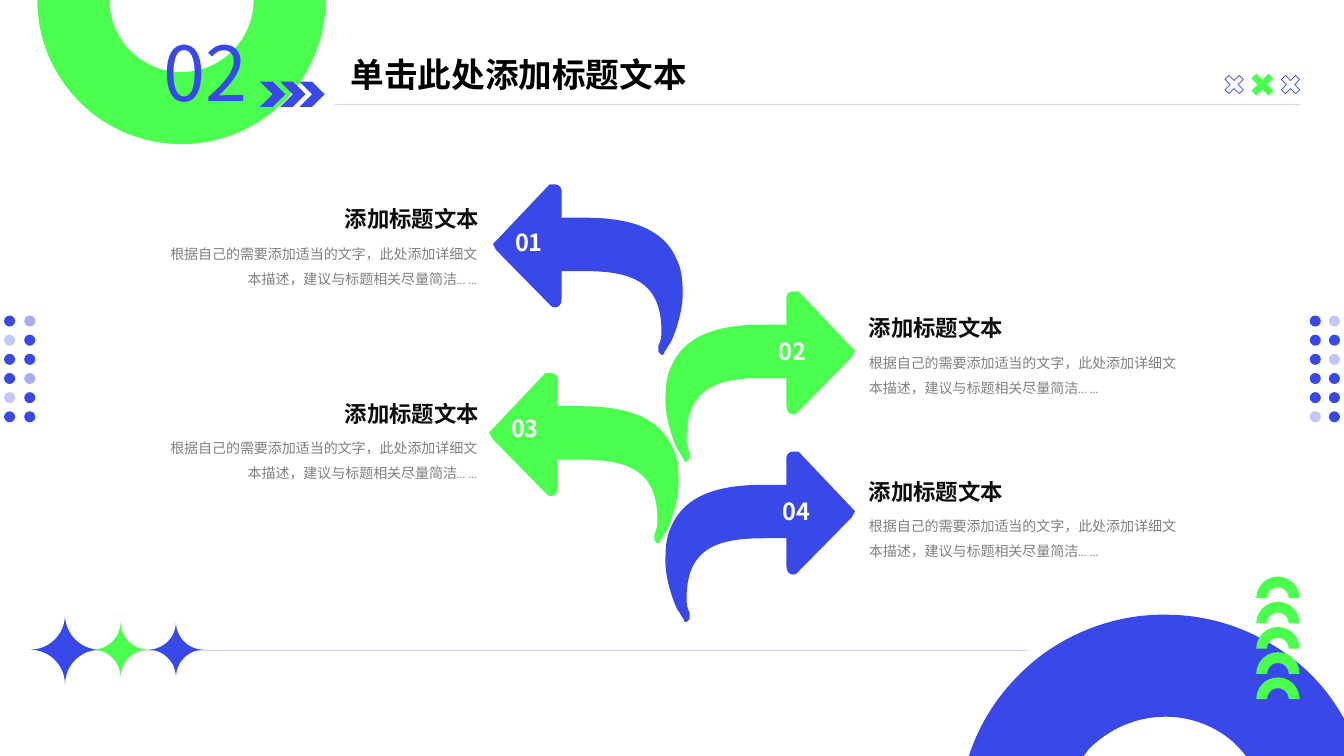
from dataclasses import dataclass

from lxml import etree
from pptx import Presentation
from pptx.dml.color import RGBColor
from pptx.enum.shapes import MSO_CONNECTOR, MSO_SHAPE
from pptx.enum.text import MSO_AUTO_SIZE, PP_ALIGN
from pptx.oxml.ns import qn
from pptx.util import Inches, Pt

LEFT, RIGHT = PP_ALIGN.LEFT, PP_ALIGN.RIGHT
ARC, CHEVRON = MSO_SHAPE.BLOCK_ARC, MSO_SHAPE.CHEVRON
DOT, CROSS, STAR = MSO_SHAPE.OVAL, MSO_SHAPE.CROSS, MSO_SHAPE.PLAQUE
STRAIGHT = MSO_CONNECTOR.STRAIGHT
GROW = MSO_AUTO_SIZE.SHAPE_TO_FIT_TEXT

BLUE, GREEN, WHITE, BLACK = "3948E9", "4AFF4E", "FFFFFF", "000000"
INK, GRAY = "0D0D0D", "808080"
NOTO, CABIN = "Noto Sans CJK SC", "Cabin"
HEAD = "添加标题文本"
BODY = "根据自己的需要添加适当的文字，此处添加详细文本描述，建议与标题相关尽量简洁... ..."

Path = list[tuple[float, ...]]

# Outlines: two numbers are a line end, six are a cubic curve
ARROW: Path = [
    (0.03, 0.65), (0.56, 1.19),
    (0.59, 1.22, 0.59, 1.22, 0.62, 1.22),
    (0.65, 1.22, 0.68, 1.19, 0.68, 1.13),
    (0.68, 0.86), (0.91, 0.86),
    (1.35, 0.86, 1.67, 0.95, 1.67, 1.45),
    (1.67, 1.51, 1.67, 1.54, 1.64, 1.6),
    (1.64, 1.6, 1.64, 1.63, 1.64, 1.66),
    (1.64, 1.66, 1.67, 1.69, 1.67, 1.69),
    (1.7, 1.69, 1.7, 1.69, 1.7, 1.66),
    (1.73, 1.63, 1.73, 1.6, 1.76, 1.57),
    (1.82, 1.45, 1.88, 1.24, 1.88, 1.1),
    (1.88, 0.98, 1.88, 0.86, 1.82, 0.74),
    (1.67, 0.39, 1.26, 0.33, 0.91, 0.33),
    (0.68, 0.33), (0.68, 0.06),
    (0.68, 0.03, 0.65, 0, 0.62, 0),
    (0.59, 0, 0.59, 0, 0.56, 0),
    (0.03, 0.56), (0, 0.59),
    (0, 0.62, 0.03, 0.62, 0.03, 0.65),
]
ARROW_W = 1.88
RING: Path = [
    (11.62, 6.1),
    (12.07, 6.11, 12.52, 6.28, 12.89, 6.59),
    (13.07, 6.74, 13.22, 6.93, 13.33, 7.13),
    (13.33, 7.5), (12.36, 7.5), (12.35, 7.49),
    (12.31, 7.44, 12.27, 7.4, 12.23, 7.36),
    (11.86, 7.04, 11.32, 7.03, 10.93, 7.32),
    (10.89, 7.35, 10.84, 7.39, 10.8, 7.43),
    (10.75, 7.5), (9.61, 7.5), (9.62, 7.47),
    (9.75, 7.09, 9.99, 6.76, 10.33, 6.5),
    (10.71, 6.22, 11.17, 6.08, 11.62, 6.1),
]


@dataclass
class Step:
    num: str
    x: float
    y: float
    hue: str
    num_x: float
    num_y: float
    text_y: float
    flip: bool


@dataclass
class Mark:
    kind: MSO_SHAPE
    x: float
    y: float
    size: float
    hue: str
    turn: float = 0
    adj: float | None = None
    hollow: bool = False
    alpha: int = 100


STEPS = [
    Step("04", 6.6, 4.48, BLUE, 7.66, 4.88, 4.69, True),
    Step("03", 4.85, 3.7, GREEN, 4.97, 4.06, 3.92, False),
    Step("02", 6.6, 2.89, GREEN, 7.62, 3.29, 3.07, True),
    Step("01", 4.89, 1.83, BLUE, 5.01, 2.21, 1.99, False),
]
# Opacity of each dot, row by row
DOTS = {
    (0.04, 0.24): [(100, 44), (30, 100), (100, 100)] * 2,
    (12.99, 13.18): [(100, 30), (100, 100)] * 2 + [(100, 100), (30, 100)],
}

deck = Presentation()
deck.slide_width, deck.slide_height = Inches(13.33), Inches(7.5)
slide = deck.slides.add_slide(deck.slide_layouts[6])
shapes = slide.shapes


def rgb(hue: str) -> RGBColor:
    return RGBColor.from_string(hue)


def fade(item, alpha: int) -> None:
    for node in item._element.spPr.iter(qn("a:srgbClr")):
        etree.SubElement(node, qn("a:alpha"), val=str(alpha * 1000))


def paint(shape, hue: str) -> None:
    shape.shadow.inherit = False
    shape.fill.solid()
    shape.fill.fore_color.rgb = rgb(hue)
    shape.line.fill.background()


def draw(mark: Mark) -> None:
    size = Inches(mark.size)
    shape = shapes.add_shape(mark.kind, Inches(mark.x), Inches(mark.y), size, size)
    shape.rotation = mark.turn
    if mark.adj is not None:
        shape.adjustments[0] = mark.adj
    paint(shape, mark.hue)
    if mark.hollow:
        shape.fill.background()
        shape.line.color.rgb = rgb(mark.hue)
        shape.line.width = Pt(0.5)
    if mark.alpha < 100:
        fade(shape, mark.alpha)


def trace(path: Path, hue: str) -> None:
    ends = [(Inches(seg[-2]), Inches(seg[-1])) for seg in path]
    pen = shapes.build_freeform(*ends[0])
    pen.add_line_segments(ends[1:], close=True)
    shape = pen.convert_to_shape()
    paint(shape, hue)
    # Turn the line of each six-number segment into a curve
    lines = list(shape._element.spPr.iter(qn("a:lnTo")))
    for line, seg in zip(lines, path[1:]):
        if len(seg) == 6:
            curve = etree.Element(qn("a:cubicBezTo"))
            for x, y in zip(seg[::2], seg[1::2]):
                etree.SubElement(curve, qn("a:pt"), x=str(Inches(x) - shape.left),
                                 y=str(Inches(y) - shape.top))
            line.getparent().replace(line, curve)


def place(path: Path, x: float, y: float, flip: bool) -> Path:
    def move(i: int, v: float) -> float:
        if i % 2:
            return y + v
        return x + (ARROW_W - v if flip else v)

    return [tuple(move(i, v) for i, v in enumerate(seg)) for seg in path]


def rule(x: float, y: float, end: float) -> None:
    line = shapes.add_connector(STRAIGHT, Inches(x), Inches(y), Inches(end), Inches(y))
    line.line.color.rgb = rgb(BLUE)
    line.line.width = Pt(0.5)
    fade(line, 33)
    etree.SubElement(line._element.spPr, qn("a:effectLst"))


def write(text: str, x: float, y: float, w: float, h: float, size: float, hue: str,
          face: str = CABIN, bold: bool = True, align: PP_ALIGN = LEFT,
          gap: float | None = None, wrap: bool = True) -> None:
    frame = shapes.add_textbox(Inches(x), Inches(y), Inches(w), Inches(h)).text_frame
    frame.word_wrap, frame.auto_size = wrap, GROW
    para = frame.paragraphs[0]
    para.text, para.alignment, para.line_spacing = text, align, gap
    font = para.font
    font.name, font.size, font.bold = face, Pt(size), bold
    font.color.rgb = rgb(hue)


# Rings, small arcs and chevrons
trace(RING, BLUE)
draw(Mark(ARC, 0.37, -1.43, 2.86, GREEN, turn=180))
for i in range(5):
    draw(Mark(ARC, 12.46, 5.72 + 0.25 * i, 0.43, GREEN))
for x in (2.58, 2.78, 2.97):
    draw(Mark(CHEVRON, x, 0.81, 0.25, BLUE))

# Dots on both edges
for cols, rows in DOTS.items():
    for i, row in enumerate(rows):
        for x, alpha in zip(cols, row):
            draw(Mark(DOT, x, 3.13 + 0.19 * i, 0.11, BLUE, alpha=alpha))

# Crosses, rules and stars
for x, y, size, hue in ((12.14, 0.74, 0.2, BLUE), (12.4, 0.72, 0.24, GREEN),
                        (12.7, 0.74, 0.2, BLUE)):
    draw(Mark(CROSS, x, y, size, hue, 45, 0.36, hollow=hue == BLUE))
rule(3.32, 1.04, 12.89)
rule(0.48, 6.45, 10.19)
for x, y, size, hue in ((0.3, 6.1, 0.69, BLUE), (1.47, 6.17, 0.55, BLUE),
                        (0.92, 6.17, 0.55, GREEN)):
    draw(Mark(STAR, x, y, size, hue, adj=0.5))

# Title
write("02", 1.52, 0.21, 1.1, 1.01, 54, BLUE, NOTO, bold=False, wrap=False)
write("单击此处添加标题文本", 3.38, 0.49, 3.97, 0.5, 24, BLACK)

# Arrows, then their numbers and texts
for step in STEPS:
    trace(place(ARROW, step.x, step.y, step.flip), step.hue)
for step in STEPS:
    write(step.num, step.num_x, step.num_y, 0.82, 0.5, 16.8, WHITE, NOTO)
    side = LEFT if step.flip else RIGHT
    head_x, body_x = (8.52, 8.52) if step.flip else (2.41, 1.59)
    write(BODY, body_x, step.text_y + 0.31, 3.24, 0.58, 10, GRAY,
          bold=False, align=side, gap=1.5)
    write(HEAD, head_x, step.text_y, 2.44, 0.37, 16, INK, align=side)

deck.save("out.pptx")
